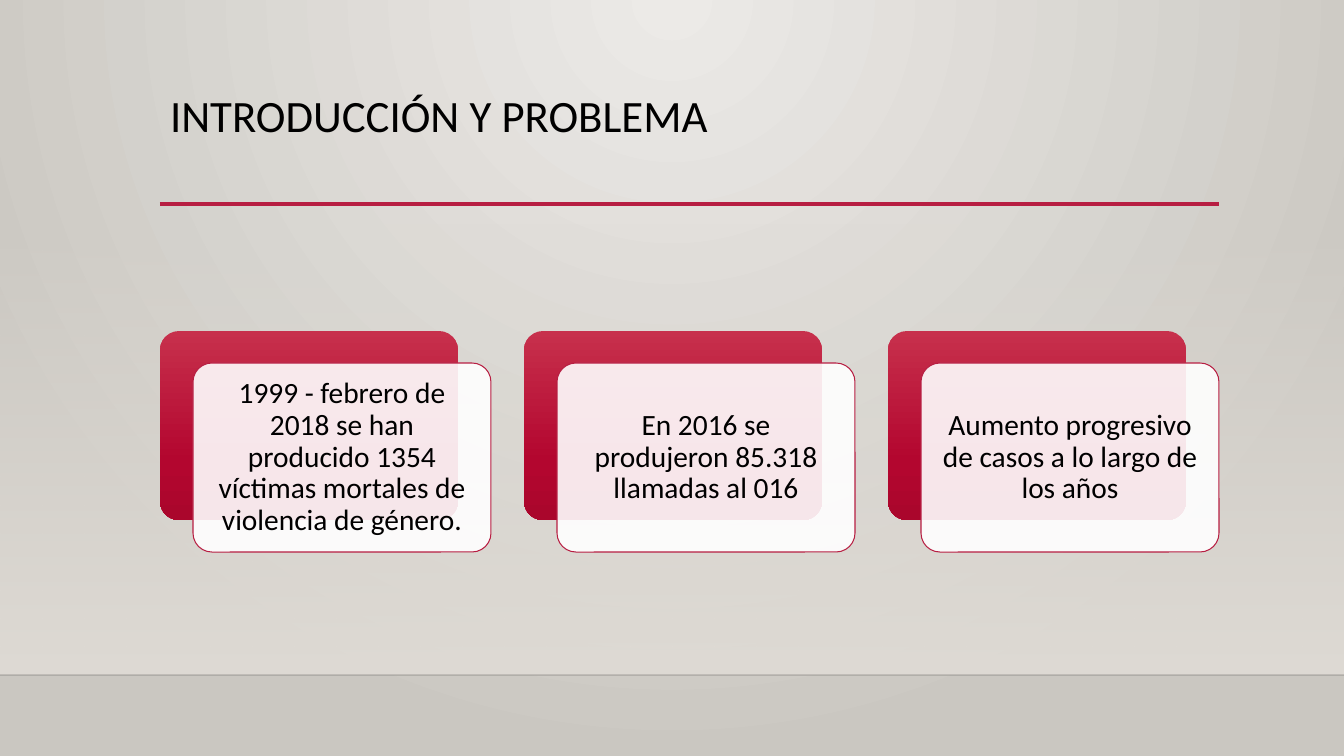
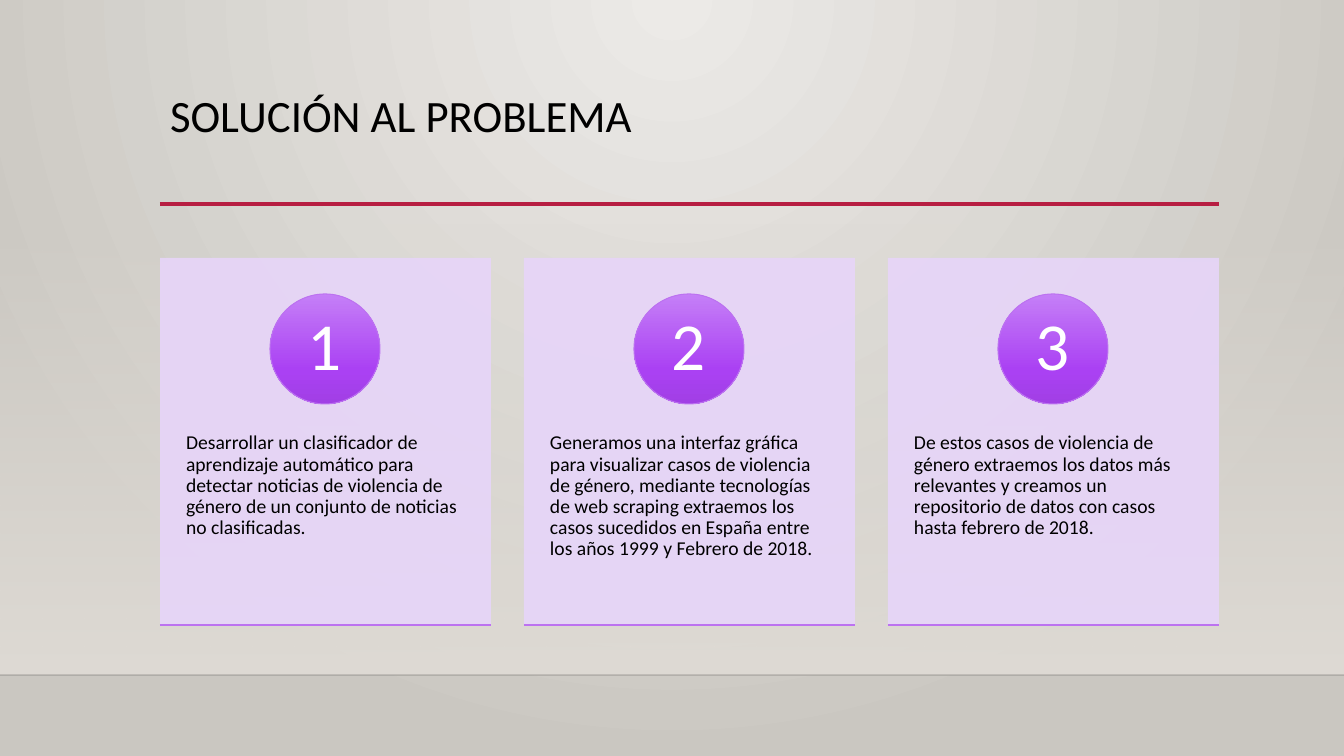
from lxml.etree import SubElement
from pptx import Presentation
from pptx.dml.color import RGBColor
from pptx.enum.shapes import MSO_CONNECTOR, MSO_SHAPE as Preset
from pptx.enum.text import MSO_ANCHOR as Anchor, MSO_AUTO_SIZE, PP_ALIGN as Align
from pptx.oxml.ns import qn
from pptx.util import Pt

SCALE = 12192000 / 1344
FONT = "Calibri"
BLACK, WHITE, CRIMSON, LILAC, VIOLET = "000000", "FFFFFF", "B71E42", "E7D5F9", "BC72F0"
BACKGROUND = [(0, "ECEAE7", 100), (100, "CAC7C1", 100)]
HAZE = [(0, "DFDBD5", 0), (100, "DFDBD5", 100)]
RED_SHADES = [(0, "C7304C", 100), (69, "B3062F", 100), (100, "AA062C", 100)]
VIOLET_SHADES = [(0, "C57FF7", 100), (69, "AA41F3", 100), (100, "A13FE5", 100)]

LEFT, RIGHT = 160, 1219
COLUMN_WIDTH, COLUMN_STEP = 331, 364
TITLE_RULE_Y, FLOOR_Y = 204, 675

rgb = RGBColor.from_string


def px(*lengths):
    """Turn pixels into a list of EMU."""
    return [round(length * SCALE) for length in lengths]


def write_text(shape, text, size, color=BLACK, align=Align.LEFT, anchor=Anchor.TOP,
               inset=(10, 5, 10, 5)):
    frame = shape.text_frame
    frame.text = text
    frame.word_wrap = True
    frame.auto_size = MSO_AUTO_SIZE.NONE
    frame.vertical_anchor = anchor
    (frame.margin_left, frame.margin_top,
     frame.margin_right, frame.margin_bottom) = px(*inset)
    paragraph = frame.paragraphs[0]
    paragraph.alignment = align
    paragraph.line_spacing = 0.9
    font = paragraph.runs[0].font
    font.name, font.size, font.color.rgb = FONT, Pt(size), rgb(color)


def paint_gradient(fill, element, stops, circle=False):
    """Fill with (position, colour, opacity) stops, downwards or from the top centre."""
    fill.gradient()
    gradient = element.xpath(".//a:gradFill")[0]
    gradient.clear()
    stop_list = SubElement(gradient, qn("a:gsLst"))
    for position, color, opacity in stops:
        stop = SubElement(stop_list, qn("a:gs"), pos=str(position * 1000))
        color_element = SubElement(stop, qn("a:srgbClr"), val=color)
        SubElement(color_element, qn("a:alpha"), val=str(opacity * 1000))
    if circle:
        shade = SubElement(gradient, qn("a:path"), {"path": "circle"})
        SubElement(shade, qn("a:fillToRect"), l="43000", t="0", r="43000", b="100000")
    else:
        SubElement(gradient, qn("a:lin"), ang="5400000", scaled="0")


presentation = Presentation()
presentation.slide_width, presentation.slide_height = px(1344, 756)
master = presentation.slide_master
layout = presentation.slide_layouts.get_by_name("Title Only")
title_holder = layout.placeholders[0]
(title_holder.left, title_holder.top,
 title_holder.width, title_holder.height) = px(LEFT, 89, RIGHT - LEFT, 116)
paint_gradient(master.background.fill, master.element, BACKGROUND, circle=True)

slides = []
for title in ("INTRODUCCIÓN Y PROBLEMA", "SOLUCIÓN AL PROBLEMA"):
    slide = presentation.slides.add_slide(layout)
    write_text(slide.shapes.title, title, 32)
    slides.append(slide)
problem_slide, solution_slide = slides

# Shared backdrop, moved to the master
haze = problem_slide.shapes.add_shape(Preset.RECTANGLE, *px(0, 223, 1344, FLOOR_Y - 223))
haze.shadow.inherit = False
haze.line.fill.background()
paint_gradient(haze.fill, haze.element, HAZE)
floor_line = problem_slide.shapes.add_connector(
    MSO_CONNECTOR.STRAIGHT, *px(0, FLOOR_Y, 1344, FLOOR_Y))
title_rule = problem_slide.shapes.add_connector(
    MSO_CONNECTOR.STRAIGHT, *px(LEFT, TITLE_RULE_Y, RIGHT, TITLE_RULE_Y))
for number, shape in enumerate((haze, floor_line, title_rule), 101):
    shape.element.xpath(".//p:cNvPr")[0].set("id", str(number))
    master.shapes.element.append(shape.element)
lines = [(floor_line, "000001", 1, 20), (title_rule, CRIMSON, 2.5, 100)]

# Problem: offset pairs of rounded cards
facts = [
    "1999 - febrero de 2018 se han producido 1354 víctimas mortales de violencia de género.",
    "En 2016 se produjeron 85.318 llamadas al 016",
    "Aumento progresivo de casos a lo largo de los años",
]
translucent = []
for column, fact in enumerate(facts):
    left = LEFT + column * COLUMN_STEP
    back, front = [
        problem_slide.shapes.add_shape(Preset.ROUNDED_RECTANGLE, *px(x, y, 298, 189))
        for x, y in ((left, 331), (left + 33, 363))
    ]
    for card in (back, front):
        card.adjustments[0] = 0.1
        card.shadow.inherit = False
    back.line.fill.background()
    paint_gradient(back.fill, back.element, RED_SHADES)
    front.line.color.rgb = rgb(CRIMSON)
    front.line.width = Pt(0.75)
    translucent.append((front, WHITE))
    write_text(front, fact, 21, align=Align.CENTER, anchor=Anchor.MIDDLE, inset=(9, 9, 9, 9))

# Solution: numbered panels
steps = [
    "Desarrollar un clasificador de aprendizaje automático para detectar noticias de "
    "violencia de género de un conjunto de noticias no clasificadas.",
    "Generamos una interfaz gráfica para visualizar casos de violencia de género, mediante "
    "tecnologías de web scraping extraemos los casos sucedidos en España entre los años "
    "1999 y Febrero de 2018.",
    "De estos casos de violencia de género extraemos los datos más relevantes y creamos un "
    "repositorio de datos con casos hasta febrero de 2018.",
]
for column, step in enumerate(steps):
    left = LEFT + column * COLUMN_STEP
    panel = solution_slide.shapes.add_shape(
        Preset.RECTANGLE, *px(left, 258, COLUMN_WIDTH, 367))
    panel.shadow.inherit = False
    panel.line.fill.background()
    translucent.append((panel, LILAC))
    write_text(panel, step, 14, inset=(26, 175, 26, 36))

    badge = solution_slide.shapes.add_shape(Preset.OVAL, *px(left + 110, 294, 110, 110))
    badge.shadow.inherit = False
    badge.line.color.rgb = rgb(VIOLET)
    badge.line.width = Pt(0.75)
    paint_gradient(badge.fill, badge.element, VIOLET_SHADES)
    write_text(badge, str(column + 1), 48, color=WHITE, align=Align.CENTER,
               anchor=Anchor.MIDDLE, inset=(9, 1, 9, 1))

    base_line = solution_slide.shapes.add_connector(
        MSO_CONNECTOR.STRAIGHT, *px(left, 625, left + COLUMN_WIDTH, 625))
    lines.append((base_line, VIOLET, 0.75, 100))

for shape, color in translucent:
    shape.fill.solid()
    shape.fill.fore_color.rgb = rgb(color)
    fill_color = shape.element.spPr.find(f"{qn('a:solidFill')}/{qn('a:srgbClr')}")
    SubElement(fill_color, qn("a:alpha"), val="90000")

for connector, color, width, opacity in lines:
    connector.line.color.rgb = rgb(color)
    connector.line.width = Pt(width)
    line_color = connector.element.xpath(".//a:ln//a:srgbClr")[0]
    SubElement(line_color, qn("a:alpha"), val=str(opacity * 1000))
    SubElement(connector.element.spPr, qn("a:effectLst"))

presentation.save("out.pptx")
